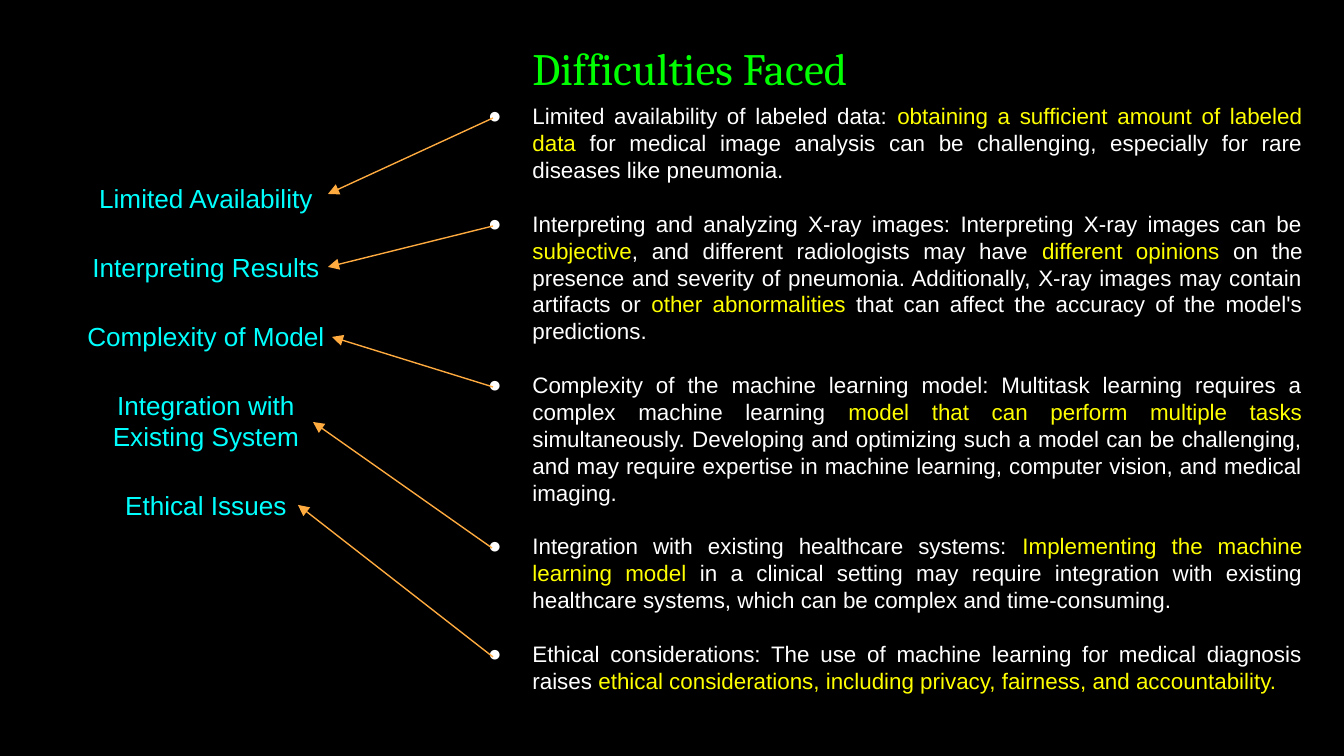
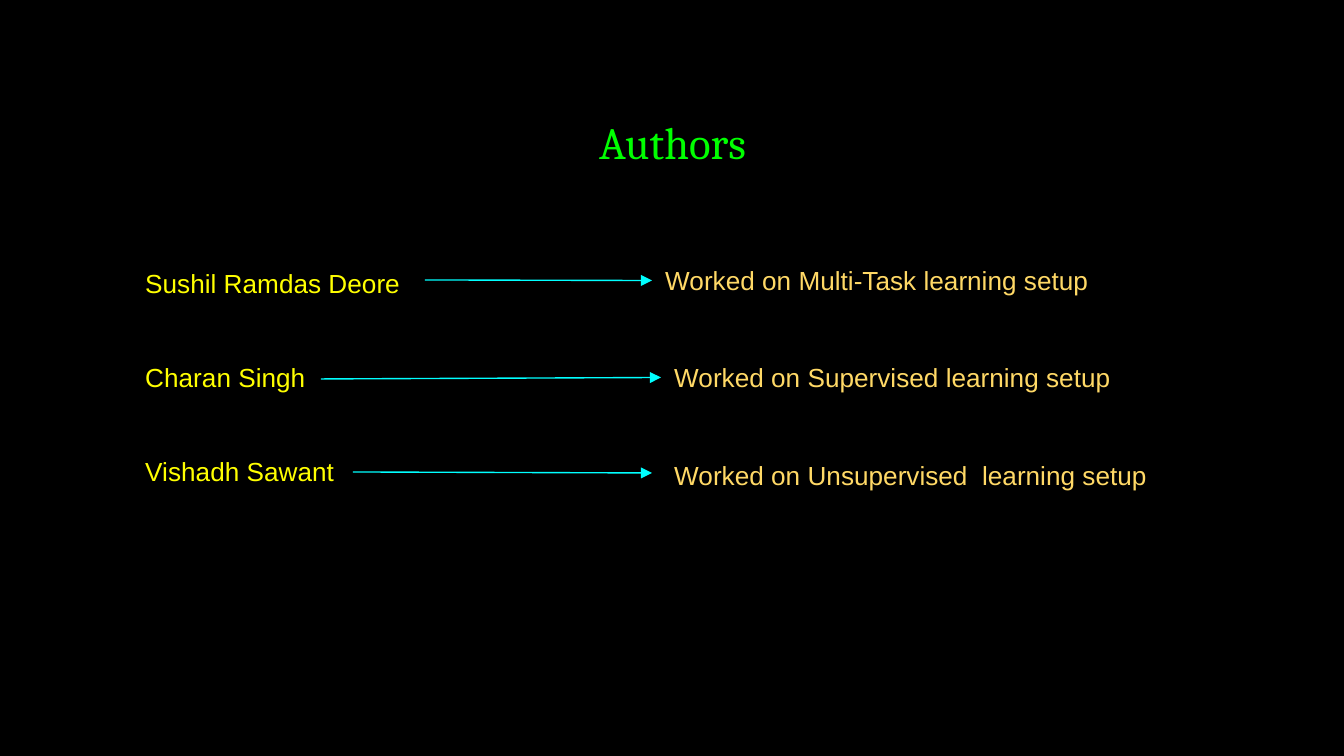
from lxml import etree
from pptx import Presentation
from pptx import util as u
from pptx.dml.color import RGBColor
from pptx.enum import shapes, text
from pptx.oxml.ns import qn

BLACK = RGBColor(0x00, 0x00, 0x00)
WHITE = RGBColor(0xFF, 0xFF, 0xFF)
GREEN = RGBColor(0x00, 0xFF, 0x00)
YELLOW = RGBColor(0xFF, 0xFF, 0x00)
CYAN = RGBColor(0x00, 0xFF, 0xFF)
ORANGE = RGBColor(0xFF, 0xAB, 0x40)
SAND = RGBColor(0xFF, 0xD9, 0x66)

PX_PER_INCH = 134.4
PAGE_SIZE = 1344, 756
INSET = u.Inches(0.1)
LINE_HEIGHT = 59
LEFT, CENTER, JUSTIFY = (
    text.PP_ALIGN.LEFT, text.PP_ALIGN.CENTER, text.PP_ALIGN.JUSTIFY)

# Each difficulty: plain and highlighted spans in turn, starting with plain.
DIFFICULTIES = [
    ("Limited availability of labeled data: ",
     "obtaining a sufficient amount of labeled data",
     " for medical image analysis can be challenging, especially for rare "
     "diseases like pneumonia."),
    ("Interpreting and analyzing X-ray images: Interpreting X-ray images can be ",
     "subjective",
     ", and different radiologists may have ",
     "different opinions",
     " on the presence and severity of pneumonia. Additionally, X-ray images "
     "may contain artifacts or ",
     "other abnormalities",
     " that can affect the accuracy of the model's predictions."),
    ("Complexity of the machine learning model: Multitask learning requires a "
     "complex machine learning ",
     "model that can perform multiple tasks",
     " simultaneously. Developing and optimizing such a model can be "
     "challenging, and may require expertise in machine learning, computer "
     "vision, and medical imaging."),
    ("Integration with existing healthcare systems: ",
     "Implementing the machine learning model",
     " in a clinical setting may require integration with existing healthcare "
     "systems, which can be complex and time-consuming."),
    ("Ethical considerations: The use of machine learning for medical "
     "diagnosis raises ",
     "ethical considerations, including privacy, fairness, and accountability."),
]
# Label, box height, arrow start (at the bullet), arrow end (at the label).
LABELS = [
    ("Limited Availability", LINE_HEIGHT, (493, 118), (328, 194)),
    ("Interpreting Results", LINE_HEIGHT, (493, 226), (328, 267)),
    ("Complexity of Model", LINE_HEIGHT, (493, 387), (332, 337)),
    ("Integration with Existing System", 90, (492, 548), (313, 422)),
    ("Ethical Issues", LINE_HEIGHT, (493, 657), (298, 505)),
]
LABEL_LEFT, LABEL_TOP, LABEL_WIDTH, LABEL_GAP = 60, 169, 292, 10

# Author, task, task box corner, arrow start, free arrow end (None: join the box).
AUTHORS = [
    ("Sushil Ramdas Deore", "Worked on Multi-Task learning setup",
     (652, 251), (425, 280), None),
    ("Charan Singh", "Worked on Supervised learning setup",
     (661, 348), (321, 379), None),
    ("Vishadh Sawant", "Worked on Unsupervised  learning setup",
     (661, 446), (353, 472), (652, 473)),
]


def px(*lengths):
    return [u.Inches(length / PX_PER_INCH) for length in lengths]


def add_page(deck):
    page = deck.slides.add_slide(deck.slide_layouts[6])
    page.background.fill.solid()
    page.background.fill.fore_color.rgb = BLACK
    return page


def add_text(page, place, paragraphs, size, font="Arial", align=LEFT,
             gap=0, line_spacing=None):
    """Add a text box; each paragraph is a list of (words, colour) spans."""
    box = page.shapes.add_textbox(*px(*place))
    frame = box.text_frame
    frame.word_wrap = True
    frame.auto_size = text.MSO_AUTO_SIZE.SHAPE_TO_FIT_TEXT
    frame.margin_left = frame.margin_right = INSET
    frame.margin_top = frame.margin_bottom = INSET
    for index, spans in enumerate(paragraphs):
        para = frame.add_paragraph() if index else frame.paragraphs[0]
        para.alignment = align
        if line_spacing:
            para.line_spacing = line_spacing
        if index < len(paragraphs) - 1:
            para.space_after = u.Pt(gap)
        for words, colour in spans:
            span = para.add_run()
            span.text = words
            span.font.name = font
            span.font.size = u.Pt(size)
            span.font.color.rgb = colour
    return box


def add_title(page, words, top, align=LEFT):
    return add_text(page, (452, top, 441, 82), [[(words, GREEN)]], 24,
                    "Cambria", align, line_spacing=1.5)


def indent(para, left, first=0):
    props = para._p.get_or_add_pPr()
    props.set("marL", str(u.Inches(left)))
    props.set("indent", str(u.Inches(first)))
    return props


def add_bullet(para):
    props = indent(para, 0.5, -0.33)
    colour = etree.SubElement(props, qn("a:buClr"))
    etree.SubElement(colour, qn("a:srgbClr"), val=str(WHITE))
    etree.SubElement(props, qn("a:buFont"), typeface="Arial")
    etree.SubElement(props, qn("a:buChar"), char="●")


def add_arrow(page, start, end, colour):
    arrow = page.shapes.add_connector(
        shapes.MSO_CONNECTOR.STRAIGHT, *px(*start, *end))
    arrow.line.color.rgb = colour
    arrow.line.width = u.Pt(0.75)
    etree.SubElement(arrow.line._get_or_add_ln(), qn("a:tailEnd"), type="triangle")
    etree.SubElement(arrow._element.spPr, qn("a:effectLst"))
    return arrow


def build_difficulties(deck):
    page = add_page(deck)
    title = add_title(page, "Difficulties Faced", 0)
    indent(title.text_frame.paragraphs[0], 0.5)

    paragraphs = [
        [(words, YELLOW if index % 2 else WHITE)
         for index, words in enumerate(spans)]
        for spans in DIFFICULTIES
    ]
    body = add_text(page, (452, 89, 864, 625), paragraphs, 12,
                    align=JUSTIFY, gap=14.4)
    for para in body.text_frame.paragraphs:
        add_bullet(para)

    top = LABEL_TOP
    for label, height, start, end in LABELS:
        add_text(page, (LABEL_LEFT, top, LABEL_WIDTH, height),
                 [[(label, CYAN)]], 14, align=CENTER)
        add_arrow(page, start, end, ORANGE)
        top += height + LABEL_GAP


def build_authors(deck):
    page = add_page(deck)
    add_title(page, "Authors", 74, CENTER)
    names = [[(author[0], YELLOW)] for author in AUTHORS]
    add_text(page, (132, 254, 297, 249), names, 14, gap=33.6)
    for _, task, corner, start, end in AUTHORS:
        box = add_text(page, (*corner, 633, LINE_HEIGHT), [[(task, SAND)]], 14)
        arrow = add_arrow(page, start, end or corner, CYAN)
        if end is None:
            arrow.end_connect(box, 1)


def main():
    deck = Presentation()
    deck.slide_width, deck.slide_height = px(*PAGE_SIZE)
    build_difficulties(deck)
    build_authors(deck)
    deck.save("out.pptx")


if __name__ == "__main__":
    main()
